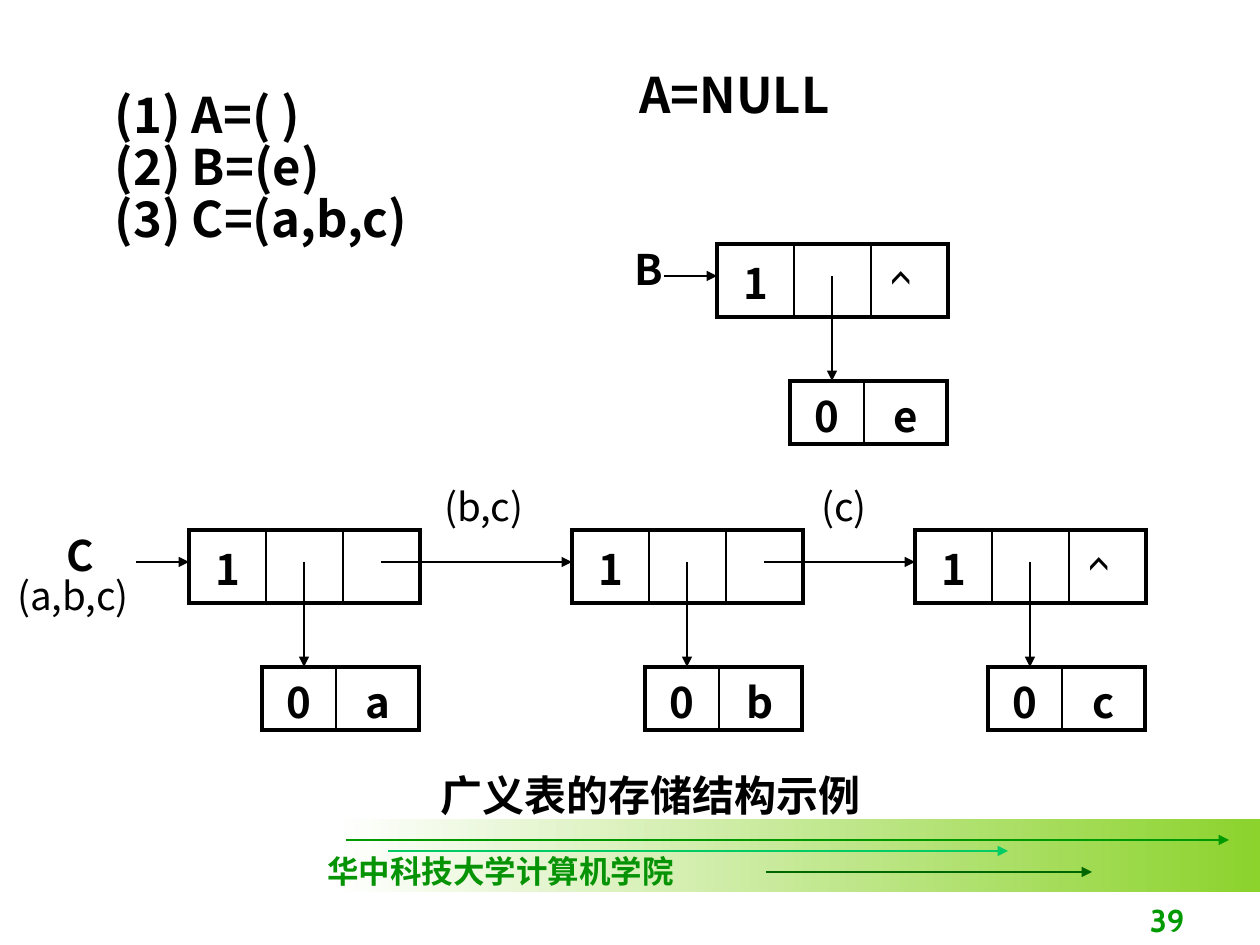
from dataclasses import dataclass

from lxml import etree
from pptx import Presentation
from pptx.dml.color import RGBColor
from pptx.enum.shapes import MSO_CONNECTOR, MSO_SHAPE
from pptx.enum.text import MSO_ANCHOR, PP_ALIGN
from pptx.oxml.ns import qn
from pptx.util import Pt

STRAIGHT = MSO_CONNECTOR.STRAIGHT
RECTANGLE = MSO_SHAPE.RECTANGLE
BOTTOM, TOP = MSO_ANCHOR.BOTTOM, MSO_ANCHOR.TOP
CENTER, LEFT, RIGHT = PP_ALIGN.CENTER, PP_ALIGN.LEFT, PP_ALIGN.RIGHT

EMU_PER_PX = 914400 / 126
BLANK_LAYOUT = 6


@dataclass(frozen=True)
class Theme:
    sans: str = "Noto Sans CJK SC"
    serif: str = "Times New Roman"
    symbol: str = "Cabin"
    ink: str = "000000"
    paper: str = "FFFFFF"
    band: str = "8CD32D"
    school: str = "069406"
    green: str = "009900"
    mint: str = "00CC66"
    forest: str = "006600"
    heading: int = 28
    body: int = 24
    label: int = 22
    footer: int = 18
    arrow: float = 0.75
    outer: float = 2.25
    inner: float = 1
    leading: float = 0.88


THEME = Theme()
BOLD = {"size": THEME.body, "bold": True}
LABEL = {"size": THEME.label}
CARET = {"size": THEME.body, "name": THEME.symbol}
HEADING = {"size": THEME.heading, "bold": True}

# Sizes of the list nodes and of the atom nodes below them
NODE_COLUMNS, NODE_HEIGHT, NODE_INSET = [77, 77, 77], 73, 13
ATOM_COLUMNS, ATOM_HEIGHT, ATOM_INSET = [74, 83], 63, 9
ATOM_SHIFT, ATOM_DROP = 73, 137
POINTER_DROP = 32


def px(length):
    return round(length * EMU_PER_PX)


def rgb(color):
    return RGBColor.from_string(color)


def write_line(para, text, align=LEFT, leading=THEME.leading, color=THEME.ink, **formats):
    para.alignment = align
    para.line_spacing = leading
    span = para.add_run()
    span.text = text
    values = {"name": THEME.sans, "bold": False, **formats}
    values["size"] = Pt(values["size"])
    for name, value in values.items():
        setattr(span.font, name, value)
    span.font.color.rgb = rgb(color)
    east_asian = etree.Element(qn("a:ea"), typeface=THEME.sans)
    span.font._element.find(qn("a:latin")).addnext(east_asian)


def add_text(slide, bounds, lines, frame_formats=None, **formats):
    box = slide.shapes.add_textbox(*map(px, bounds))
    frame = box.text_frame
    for name, value in {"word_wrap": True, **(frame_formats or {})}.items():
        setattr(frame, name, value)
    for index, line in enumerate(lines):
        para = frame.add_paragraph() if index else frame.paragraphs[0]
        write_line(para, line, **formats)


def add_arrow(slide, start, end, color=THEME.ink):
    arrow = slide.shapes.add_connector(STRAIGHT, *map(px, (*start, *end)))
    arrow.line.width = Pt(THEME.arrow)
    arrow.line.color.rgb = rgb(color)
    etree.SubElement(arrow.line._get_or_add_ln(), qn("a:tailEnd"), type="triangle")
    etree.SubElement(arrow._element.spPr, qn("a:effectLst"))


def set_borders(cell, widths):
    """Put the borders ahead of the fill, in the order left, right, top, bottom."""
    properties = cell._tc.get_or_add_tcPr()
    for index, (side, width) in enumerate(zip("LRTB", widths)):
        border = etree.Element(qn(f"a:ln{side}"), w=str(Pt(width)))
        fill = etree.SubElement(border, qn("a:solidFill"))
        etree.SubElement(fill, qn("a:srgbClr"), val=THEME.ink)
        properties.insert(index, border)


def add_cells(slide, left, top, columns, height, inset, texts):
    """Draw one row of joined cells; an empty text leaves its cell blank."""
    frame = slide.shapes.add_table(
        1, len(columns), px(left), px(top), px(sum(columns)), px(height))
    table = frame.table
    table.first_row = table.horz_banding = False
    table.rows[0].height = px(height)
    last = len(columns) - 1
    for index, (width, text) in enumerate(zip(columns, texts)):
        table.columns[index].width = px(width)
        cell = table.cell(0, index)
        cell.margin_top, cell.margin_bottom = px(inset), 0
        cell.vertical_anchor = TOP
        cell.fill.background()
        set_borders(cell, (
            THEME.inner if index else THEME.outer,
            THEME.outer if index == last else THEME.inner,
            THEME.outer,
            THEME.outer,
        ))
        if text:
            write_line(cell.text_frame.paragraphs[0], text, align=CENTER, **BOLD)


def add_node(slide, left, top, atom):
    """Draw a list node, its atom node and the pointer between them."""
    add_cells(slide, left, top, NODE_COLUMNS, NODE_HEIGHT, NODE_INSET, ["1", "", ""])
    add_cells(slide, left + ATOM_SHIFT, top + ATOM_DROP,
              ATOM_COLUMNS, ATOM_HEIGHT, ATOM_INSET, ["0", atom])
    middle = left + sum(NODE_COLUMNS) // 2
    add_arrow(slide, (middle, top + POINTER_DROP), (middle, top + ATOM_DROP))


def add_list(slide, name, name_left, top, lefts, atoms):
    """Draw a named chain of nodes that ends in an empty pointer."""
    add_text(slide, (name_left, top, 53, 63), [name], **BOLD)
    level = top + POINTER_DROP
    add_arrow(slide, (lefts[0] - 53, level), (lefts[0], level))
    for left, atom in zip(lefts, atoms):
        add_node(slide, left, top, atom)
    for left, following in zip(lefts, lefts[1:]):
        add_arrow(slide, (left + 192, level), (following, level))
    add_text(slide, (lefts[-1] + 161, top + 11, 59, 64), ["^"], leading=1.0, **CARET)


def add_footer(slide):
    band = slide.shapes.add_shape(RECTANGLE, *map(px, (336, 819, 924, 73)))
    band.shadow.inherit = False
    band.line.fill.background()
    band.fill.gradient()
    band.fill.gradient_angle = 0
    colors = (THEME.paper, THEME.band)
    for position, (stop, color) in enumerate(zip(band.fill.gradient_stops, colors)):
        stop.position = position
        stop.color.rgb = rgb(color)
    for start, end, level, color in (
        (346, 1229, 840, THEME.green),
        (388, 1008, 851, THEME.mint),
        (766, 1092, 872, THEME.forest),
    ):
        add_arrow(slide, (start, level), (end, level), color)
    add_text(slide, (315, 851, 372, 50), ["华中科技大学计算机学院"], {"word_wrap": False},
             size=THEME.footer, name=THEME.serif, color=THEME.school, bold=True)
    add_text(slide, (935, 882, 262, 63), ["39"], {"vertical_anchor": BOTTOM},
             size=THEME.footer, name=THEME.symbol, color=THEME.green, bold=True,
             align=RIGHT, leading=1.0)


def main():
    deck = Presentation()
    deck.slide_width, deck.slide_height = px(1260), px(945)
    slide = deck.slides.add_slide(deck.slide_layouts[BLANK_LAYOUT])
    add_footer(slide)
    add_text(slide, (81, 86, 470, 210), ["(1) A=( )", "(2) B=(e)", "(3) C=(a,b,c)"],
             {"margin_left": px(34)}, **HEADING)
    add_text(slide, (627, 66, 410, 72), ["A=NULL"], **HEADING)
    add_list(slide, "B", 622, 244, [717], ["e"])
    add_list(slide, "C", 54, 530, [189, 572, 915], ["a", "b", "c"])
    for left, top, width, text in (
        (432, 483, 139, "(b,c)"),
        (809, 483, 139, "(c)"),
        (5, 572, 179, "(a,b,c)"),
    ):
        add_text(slide, (left, top, width, 59), [text], **LABEL)
    add_text(slide, (428, 770, 489, 64), ["广义表的存储结构示例"], **BOLD)
    deck.save("out.pptx")


if __name__ == "__main__":
    main()
